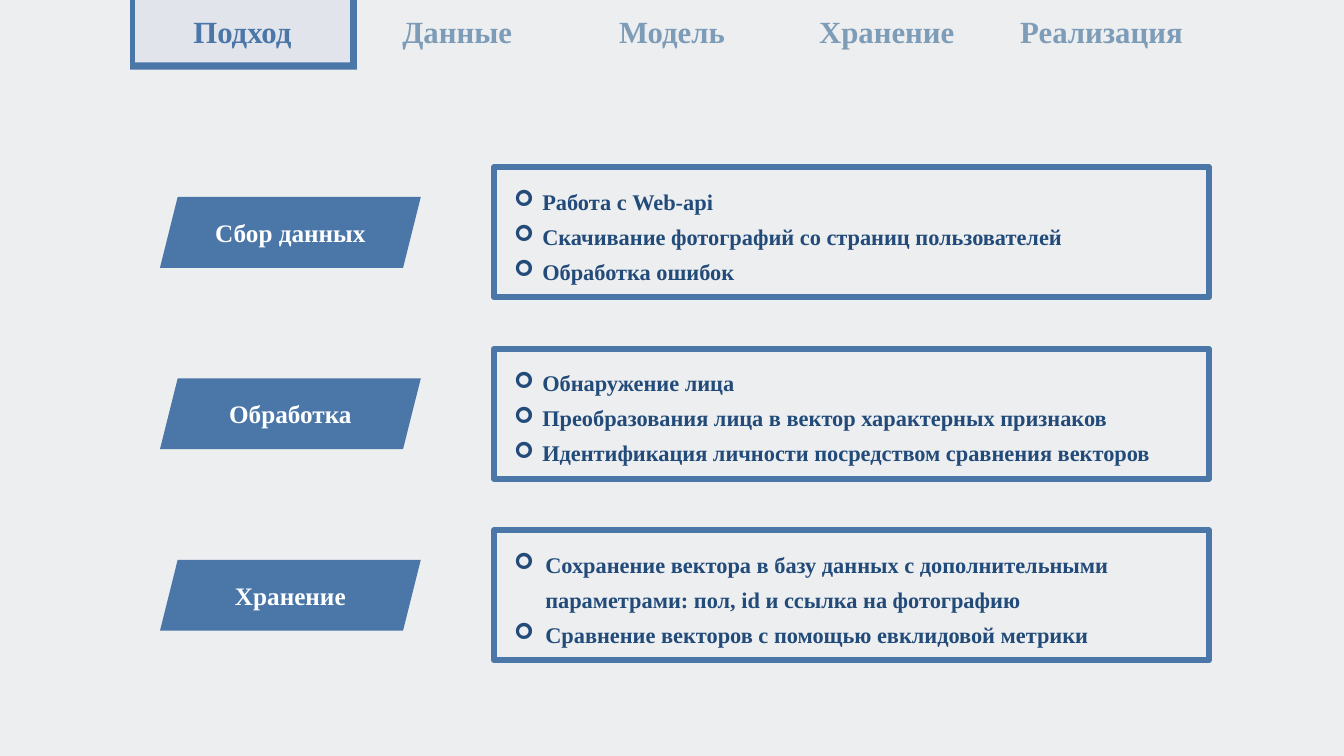
from dataclasses import dataclass

from lxml import etree
from pptx import Presentation
from pptx.dml.color import RGBColor
from pptx.enum import shapes, text
from pptx.oxml.ns import qn
from pptx.util import Inches, Pt


@dataclass(frozen=True)
class Theme:
    font: str = "Times New Roman"
    background: str = "EDEEF0"
    accent: str = "4A76A8"
    active_tab: str = "E1E5EB"
    muted: str = "7D9CB8"
    body: str = "224B7A"
    white: str = "FFFFFF"
    tab_size: int = 22
    label_size: int = 18
    body_size: int = 16


THEME = Theme()
SHAPE = shapes.MSO_SHAPE
TABS = ["Подход", "Данные", "Модель", "Хранение", "Реализация"]
ACTIVE_TAB = 0
# Stage name, hanging indent of its bullets, bullets
STAGES = [
    ("Сбор данных", 0.28, [
        "Работа с Web-api",
        "Скачивание фотографий со страниц пользователей",
        "Обработка ошибок",
    ]),
    ("Обработка", 0.28, [
        "Обнаружение лица",
        "Преобразования лица в вектор характерных признаков",
        "Идентификация личности посредством сравнения векторов",
    ]),
    ("Хранение", 0.31, [
        "Сохранение вектора в базу данных с дополнительными параметрами: "
        "пол, id и ссылка на фотографию",
        "Сравнение векторов с помощью евклидовой метрики",
    ]),
]


def rgb(color):
    return RGBColor.from_string(color)


def add_block(slide, preset, box, fill=None, line=None, line_width=0):
    """Add a flat preset shape; box is left, top, width, height in inches."""
    block = slide.shapes.add_shape(preset, *map(Inches, box))
    block.shadow.inherit = False
    if fill:
        block.fill.solid()
        block.fill.fore_color.rgb = rgb(fill)
    else:
        block.fill.background()
    if line:
        block.line.color.rgb = rgb(line)
        block.line.width = Pt(line_width)
    else:
        block.line.fill.background()
    block.text_frame.word_wrap = True
    block.text_frame.vertical_anchor = text.MSO_ANCHOR.MIDDLE
    return block


def style_text(paragraph, size, color, align=text.PP_ALIGN.CENTER):
    paragraph.alignment = align
    for run in paragraph.runs:
        run.font.name = THEME.font
        run.font.size = Pt(size)
        run.font.bold = True
        run.font.color.rgb = rgb(color)


def add_arrow_bullet(paragraph, hanging):
    properties = paragraph._p.get_or_add_pPr()
    properties.set("marL", str(Inches(0.1 + hanging)))
    properties.set("indent", str(-Inches(hanging)))
    etree.SubElement(properties, qn("a:buFont"), typeface="Wingdings")
    etree.SubElement(properties, qn("a:buChar"), char="➢")


def draw_tab(slide, box, title, active):
    left, top, width, height = box
    if active:
        frame = (left - 0.05, top, width + 0.12, height + 0.07)
        add_block(slide, SHAPE.RECTANGLE, frame, fill=THEME.accent)
    tab = add_block(slide, SHAPE.RECTANGLE, box,
                    fill=THEME.active_tab if active else THEME.background)
    tab.text_frame.text = title
    style_text(tab.text_frame.paragraphs[0], THEME.tab_size,
               THEME.accent if active else THEME.muted)


def draw_navigation(slide, box):
    """Draw the tabs, the active one last so that its frame lies on top."""
    left, top, width, height = box
    tab_width = width / len(TABS)
    for index in sorted(range(len(TABS)), key=lambda i: i == ACTIVE_TAB):
        tab_box = (left + index * tab_width, top, tab_width, height)
        draw_tab(slide, tab_box, TABS[index], index == ACTIVE_TAB)


def draw_stage_label(slide, box, title):
    label = add_block(slide, SHAPE.PARALLELOGRAM, box, THEME.accent, THEME.accent, 6)
    etree.SubElement(label.line._get_or_add_ln(), qn("a:miter"), lim="800000")
    label.text_frame.text = title
    style_text(label.text_frame.paragraphs[0], THEME.label_size, THEME.white)


def draw_stage_details(slide, box, bullets, hanging):
    panel = add_block(slide, SHAPE.RECTANGLE, box, line=THEME.accent, line_width=4.5)
    panel.text_frame.text = "\n".join(bullets)
    for paragraph in panel.text_frame.paragraphs:
        paragraph.line_spacing = 1.3
        add_arrow_bullet(paragraph, hanging)
        style_text(paragraph, THEME.body_size, THEME.body, text.PP_ALIGN.LEFT)


def draw_stage(slide, box, stage):
    """Draw a stage label, centred vertically beside its panel of bullets."""
    left, top, width, height = box
    title, hanging, bullets = stage
    label_height, panel_offset = 0.62, 3.26
    label_top = top + (height - label_height) / 2
    draw_stage_label(slide, (left, label_top, 2.48, label_height), title)
    panel_box = (left + panel_offset, top, width - panel_offset, height)
    draw_stage_details(slide, panel_box, bullets, hanging)


def main():
    deck = Presentation()
    deck.slide_width, deck.slide_height = Inches(13.33), Inches(7.5)
    slide = deck.slides.add_slide(deck.slide_layouts[6])
    slide.background.fill.solid()
    slide.background.fill.fore_color.rgb = rgb(THEME.background)

    draw_navigation(slide, (1.34, 0, 10.65, 0.62))
    for index, stage in enumerate(STAGES):
        draw_stage(slide, (1.64, 1.66 + index * 1.8, 10.35, 1.29), stage)
    deck.save("out.pptx")


if __name__ == "__main__":
    main()
